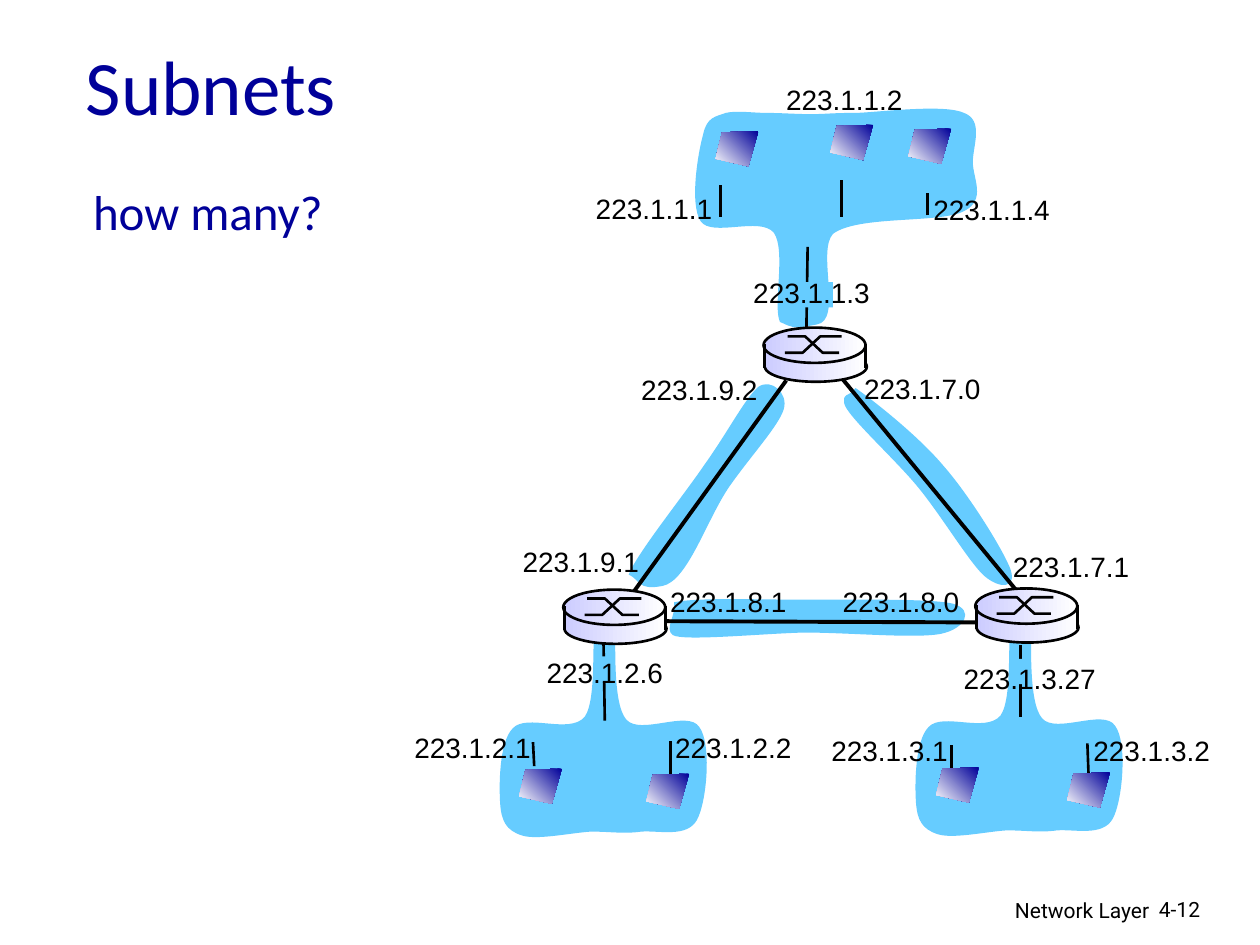
from math import cos, radians, sin

from lxml.etree import SubElement
from pptx import Presentation
from pptx.dml.color import RGBColor
from pptx.enum.shapes import MSO_CONNECTOR as Link, MSO_SHAPE as Preset
from pptx.enum.text import MSO_ANCHOR as Anchor, MSO_AUTO_SIZE as Fit, PP_ALIGN as Align
from pptx.oxml.ns import qn
from pptx.util import Pt

PX = 9144  # EMU in one px, 100 px to the inch
NAVY, SKY, LILAC, WHITE, BLACK = "000099", "66CCFF", "CCCCFF", "FFFFFF", "000000"

# Bezier outlines: a start point, then three points for each curve
LINK_7 = [(670, 320), (671, 329), (709, 363), (728, 386), (747, 409), (769, 446), (781, 457),
          (794, 468), (807, 467), (802, 452), (797, 438), (770, 394), (749, 370),
          (729, 346), (692, 317), (679, 308), (673, 316), (669, 311), (670, 320)]
LINK_8 = [(534, 504), (542, 509), (603, 503), (638, 502), (674, 502), (727, 507), (747, 503),
          (766, 499), (774, 484), (756, 479), (739, 475), (678, 476), (641, 476),
          (604, 476), (553, 474), (535, 478), (537, 488), (527, 499), (534, 504)]
LINK_9 = [(526, 465), (546, 461), (561, 412), (579, 386), (595, 363), (618, 338), (622, 325),
          (626, 312), (612, 300), (602, 307), (592, 315), (577, 344), (559, 369),
          (542, 394), (505, 440), (499, 456), (508, 460), (506, 469), (526, 465)]
NET_1 = [(648, 259), (669, 256), (648, 201), (661, 187), (681, 172), (746, 179), (765, 169),
         (783, 160), (772, 143), (772, 130), (772, 117), (781, 97), (765, 91),
         (750, 84), (701, 90), (681, 91), (660, 91), (655, 92), (643, 92),
         (631, 92), (619, 91), (608, 91), (597, 91), (585, 89), (576, 91),
         (568, 94), (561, 94), (558, 108), (554, 122), (547, 163), (556, 177),
         (565, 190), (603, 173), (614, 186), (624, 200), (613, 245), (619, 257),
         (629, 261), (627, 263), (648, 259)]
NET_1_CENTRE, NET_1_TURN = (665, 173), 87.8
NET_2 = [(474, 493), (468, 494), (475, 554), (464, 569), (452, 583), (418, 566), (407, 578),
         (396, 589), (396, 624), (397, 638), (398, 652), (402, 659), (414, 663),
         (426, 667), (453, 661), (469, 660), (485, 660), (495, 662), (509, 660),
         (523, 659), (545, 665), (553, 651), (561, 637), (565, 590), (555, 577),
         (546, 563), (508, 584), (497, 571), (486, 558), (489, 510), (488, 498),
         (486, 485), (490, 496), (488, 495), (486, 490), (481, 492), (474, 493)]
NET_3 = [(x + 330, y - 1) for x, y in NET_2]

WIRES = [(736, 171, 736, 153), (572, 147, 572, 172), (641, 196, 640, 261), (668, 172, 668, 143),
         (479, 510, 480, 572), (424, 608, 423, 589), (532, 614, 532, 588),
         (810, 512, 810, 569), (755, 610, 755, 591), (864, 616, 863, 590)]
LABEL_GAPS = [(627, 224, 34, 20), (472, 521, 14, 20), (804, 523, 14, 20)]
ROUTER_LINKS = [(502, 471, 624, 302), (807, 469, 668, 300), (775, 494, 523, 493)]
ADDRESSES = {
    "223.1.1.1": (463, 147), "223.1.1.2": (614, 61), "223.1.1.3": (588, 214),
    "223.1.1.4": (731, 148), "223.1.2.1": (319, 575), "223.1.2.2": (526, 575),
    "223.1.2.6": (424, 515), "223.1.3.1": (650, 577), "223.1.3.2": (858, 577),
    "223.1.3.27": (755, 520), "223.1.7.0": (676, 290), "223.1.7.1": (794, 431),
    "223.1.8.0": (659, 459), "223.1.8.1": (522, 459), "223.1.9.1": (405, 427),
    "223.1.9.2": (499, 291)}
ROUTERS = [(606, 260), (774, 467), (447, 468)]
HOSTS = [(721, 102), (568, 104), (659, 99), (847, 613), (743, 609), (412, 610), (513, 614)]


def rgb(code):
    return RGBColor.from_string(code)


def emu(*lengths):
    return [round(length * PX) for length in lengths]


def turn(points, centre, degrees):
    """Rotate points clockwise on the slide about a centre."""
    cx, cy = centre
    c, s = cos(radians(degrees)), sin(radians(degrees))
    return [(cx + (x - cx) * c - (y - cy) * s, cy + (x - cx) * s + (y - cy) * c)
            for x, y in points]


class Diagram:
    def __init__(self, slide):
        self.slide = slide
        self.shapes = slide.shapes  # where new elements go: the slide or a group

    def paint(self, shape, fill=None, line=None, angle=0):
        """Fill with one colour, a (from, to) gradient, or nothing."""
        shape.shadow.inherit = False
        if fill is None:
            shape.fill.background()
        elif isinstance(fill, str):
            shape.fill.solid()
            shape.fill.fore_color.rgb = rgb(fill)
        else:
            shape.fill.gradient()
            shape.fill.gradient_angle = angle
            for stop, code in zip(shape.fill.gradient_stops, fill):
                stop.color.rgb = rgb(code)
        if line:
            shape.line.color.rgb = rgb(line)
            shape.line.width = Pt(1.5)
        else:
            shape.line.fill.background()

    def preset(self, kind, box, fill, line=None):
        self.paint(self.shapes.add_shape(kind, *emu(*box)), fill, line)

    def outline(self, points, fill=None, line=None, closed=True, angle=0):
        start, *rest = [emu(*point) for point in points]
        builder = self.shapes.build_freeform(*start, scale=1.0)
        builder.add_line_segments(rest, close=closed)
        shape = builder.convert_to_shape()
        self.paint(shape, fill, line, angle)
        return shape

    def cloud(self, bezier):
        """Draw a closed outline, each three segments joined into one curve."""
        shape = self.outline(bezier, SKY)
        outline = shape._element.find(".//" + qn("a:path"))
        segments = outline.findall(qn("a:lnTo"))
        for i in range(0, len(segments), 3):
            curve = SubElement(outline, qn("a:cubicBezTo"))
            segments[i].addprevious(curve)
            for segment in segments[i:i + 3]:
                curve.append(segment[0])
                outline.remove(segment)
        return shape

    def line(self, ends, width=1.5):
        wire = self.shapes.add_connector(Link.STRAIGHT, *emu(*ends))
        wire.line.color.rgb = rgb(BLACK)
        wire.line.width = Pt(width)
        SubElement(wire._element.spPr, qn("a:effectLst"))

    def style(self, paragraph, size, font, colour, align=Align.LEFT):
        paragraph.alignment = align
        paragraph.font.size = Pt(size)
        paragraph.font.name = font
        paragraph.font.color.rgb = rgb(colour)

    def title(self, words, box):
        heading = self.slide.shapes.title
        heading.left, heading.top, heading.width, heading.height = emu(*box)
        heading.text_frame.text = words
        heading.text_frame.vertical_anchor = Anchor.MIDDLE
        self.style(heading.text_frame.paragraphs[0], 44, "Calibri", NAVY)

    def text(self, words, box, size, font, colour=BLACK, align=Align.LEFT, wrap=True):
        frame = self.shapes.add_textbox(*emu(*box)).text_frame
        frame.text = words
        frame.word_wrap = wrap
        if not wrap:
            frame.auto_size = Fit.SHAPE_TO_FIT_TEXT
        self.style(frame.paragraphs[0], size, font, colour, align)
        return frame.paragraphs[0]

    def router(self, x, y):
        self.shapes = self.slide.shapes.add_group_shape().shapes
        metal = (LILAC, WHITE)
        self.preset(Preset.OVAL, (x + 1, y + 19, 81, 24), metal, BLACK)
        self.preset(Preset.RECTANGLE, (x + 1, y + 16, 81, 15), metal)
        self.preset(Preset.OVAL, (x, y, 81, 28), metal, BLACK)
        for xs, (near, far) in (((17, 31, 45, 62), (20, 7)), ((19, 33, 47, 60), (7, 20))):
            arm = [(x + dx, y + dy) for dx, dy in zip(xs, (near, near, far, far))]
            self.outline(arm, line=BLACK, closed=False)
        for side in (x + 1, x + 81):
            self.line((side, y + 13, side, y + 32))
        self.shapes = self.slide.shapes

    def host(self, x, y):
        corners = [(34, 0), (5, 1), (0, 22), (26, 28)]
        self.outline([(x + dx, y + dy) for dx, dy in corners], (NAVY, WHITE), angle=225)


def main():
    deck = Presentation()
    deck.slide_width, deck.slide_height = emu(1000, 750)
    diagram = Diagram(deck.slides.add_slide(deck.slide_layouts[5]))

    diagram.title("Subnets", (58, 25, 405, 84))
    question = diagram.text("how many?", (64, 146, 404, 508), 28, "Calibri", NAVY)
    question.line_spacing = 0.85
    diagram.text("Network Layer", (605, 707, 317, 31), 12, "Roboto", align=Align.RIGHT)
    diagram.text("4-12", (910, 707, 74, 30), 12, "Roboto")

    for subnet in (LINK_7, LINK_8, LINK_9, NET_2, NET_3):
        diagram.cloud(subnet)
    upright = turn(NET_1, NET_1_CENTRE, -NET_1_TURN)
    diagram.cloud(upright).rotation = NET_1_TURN
    for wire in WIRES:
        diagram.line(wire)
    for gap in LABEL_GAPS:
        diagram.preset(Preset.RECTANGLE, gap, SKY)
    for link in ROUTER_LINKS:
        diagram.line(link, 2.25)
    for address, (x, y) in ADDRESSES.items():
        width = 113 if len(address) == 9 else 125
        diagram.text(address, (x, y, width, 37), 16, "Arial", wrap=False)
    for place in ROUTERS:
        diagram.router(*place)
    for place in HOSTS:
        diagram.host(*place)

    deck.save("out.pptx")


if __name__ == "__main__":
    main()
